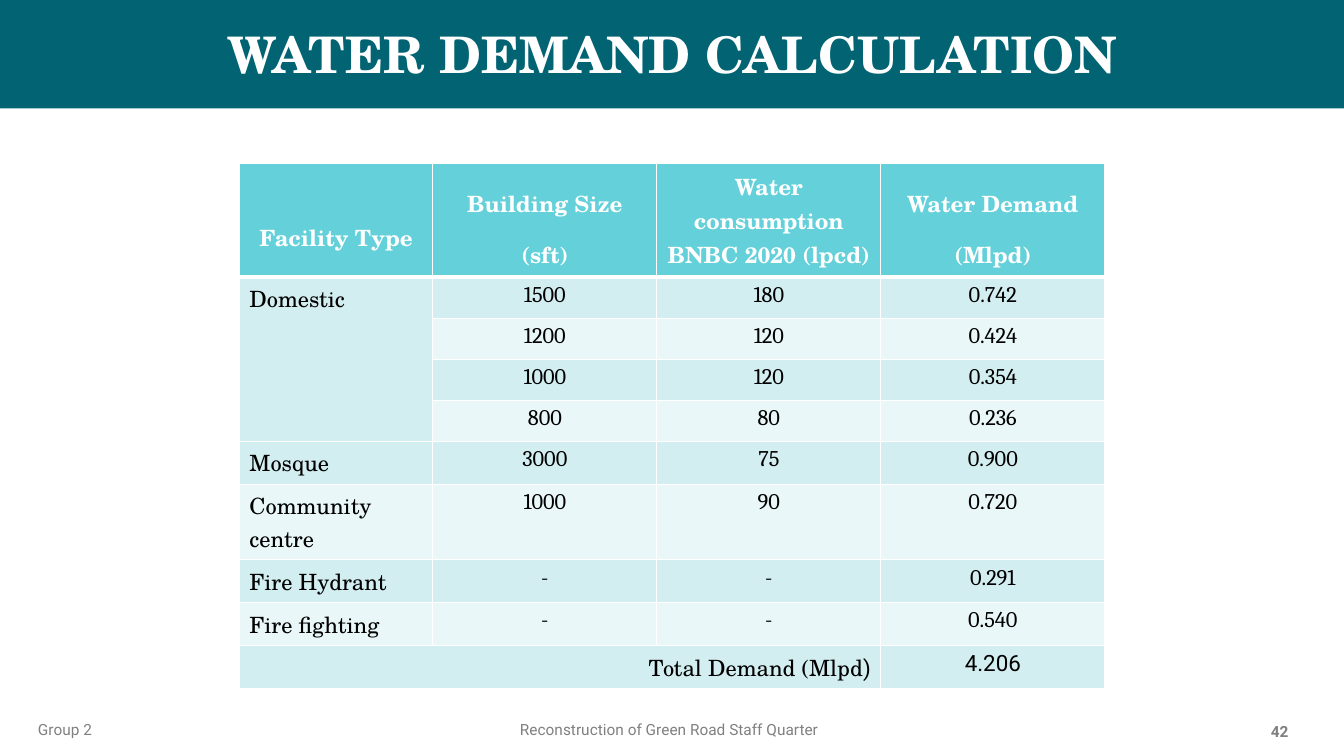
from pptx import Presentation
from pptx.dml.color import RGBColor as RGB
from pptx.enum.shapes import MSO_SHAPE as SHAPE
from pptx.enum.text import MSO_ANCHOR as ANCHOR, MSO_AUTO_SIZE as AUTO, PP_ALIGN as AL
from pptx.oxml.ns import qn
from pptx.util import Pt
from lxml.etree import SubElement

COLORS = {"band": "026473", "header": "64D0DA", "odd": "D3EEF1", "even": "EAF7F8",
          "white": "FFFFFF", "black": "000000", "gray": "808080"}
SERIF, DIGITS, SANS = "TeX Gyre Schola", "Cambria", "Roboto"

HEADERS = [("Facility Type", 2.5), ("Building Size (sft)", 1.5),
           ("Water consumption BNBC 2020 (lpcd)", 1), ("Water Demand (Mlpd)", 1.5)]
DEMANDS = [
    ("Domestic", "1500", "180", "0.742"),
    ("", "1200", "120", "0.424"),
    ("", "1000", "120", "0.354"),
    ("", "800", "80", "0.236"),
    ("Mosque", "3000", "75", "0.900"),
    ("Community centre", "1000", "90", "0.720"),
    ("Fire Hydrant", "-", "-", "0.291"),
    ("Fire fighting", "-", "-", "0.540"),
]
TOTAL_ROW = len(DEMANDS) + 1
COL_WIDTHS = [138.2, 160, 160, 160]
ROW_HEIGHT = 29.3


class Deck:
    """Holds the style and the current slide, and draws each kind of element."""

    def __init__(self, prs):
        self.s = prs.slides.add_slide(prs.slide_layouts[6])

    def text(self, tf, runs, size, color, bold=False, align=AL.LEFT, spacing=None):
        p = tf.paragraphs[0]
        p.alignment = align
        if spacing:
            p.line_spacing = spacing
        for text, font in runs:
            r = p.add_run()
            r.text = text
            for key, value in {"name": font, "size": Pt(size), "bold": bold}.items():
                setattr(r.font, key, value)
            r.font.color.rgb = RGB.from_string(COLORS[color])

    def banner(self, text, x, y, w, h):
        sp = self.s.shapes.add_shape(SHAPE.RECTANGLE, Pt(x), Pt(y), Pt(w), Pt(h))
        sp.shadow.inherit = False
        sp.fill.solid()
        sp.fill.fore_color.rgb = RGB.from_string(COLORS["band"])
        sp.line.fill.background()
        tf = sp.text_frame
        margins = {f"margin_{side}": 0 for side in ("left", "top", "right", "bottom")}
        for key, value in {**margins, "vertical_anchor": ANCHOR.MIDDLE, "word_wrap": True}.items():
            setattr(tf, key, value)
        self.text(tf, [(text, SERIF)], 36, "white", True, AL.CENTER)

    def footer(self, text, x, y, w, bold=False):
        tf = self.s.shapes.add_textbox(Pt(x), Pt(y), Pt(w), Pt(20.6)).text_frame
        tf.word_wrap = True
        tf.auto_size = AUTO.SHAPE_TO_FIT_TEXT
        self.text(tf, [(text, SANS)], 11, "gray", bold)

    def table(self, x, y, widths, height, rows):
        shape = self.s.shapes.add_table(rows, len(widths), Pt(x), Pt(y),
                                        Pt(sum(widths)), Pt(rows * height))
        tbl = shape.table
        for col, width in zip(tbl.columns, widths):
            col.width = Pt(width)
        for i, row in enumerate(tbl.rows):
            row.height = Pt(height)
            fill = "header" if i == 0 else "odd" if i % 2 else "even"
            for cell in row.cells:
                self.borders(cell, top=3 if i == 1 else 1, bottom=3 if i == 0 else 1)
                cell.fill.solid()
                cell.fill.fore_color.rgb = RGB.from_string(COLORS[fill])
        return tbl

    def borders(self, cell, top, bottom):
        tcPr = cell._tc.get_or_add_tcPr()
        for side, width in {"L": 1, "R": 1, "T": top, "B": bottom}.items():
            ln = SubElement(tcPr, qn(f"a:ln{side}"), w=str(Pt(width)))
            SubElement(SubElement(ln, qn("a:solidFill")), qn("a:srgbClr"), val=COLORS["white"])


def main():
    prs = Presentation()
    prs.slide_width, prs.slide_height = Pt(960), Pt(540)
    deck = Deck(prs)
    deck.banner("WATER DEMAND CALCULATION", 0, -1.5, 960, 79)

    tbl = deck.table(171, 117, COL_WIDTHS, ROW_HEIGHT, TOTAL_ROW + 1)
    tbl.cell(1, 0).merge(tbl.cell(4, 0))
    tbl.cell(TOTAL_ROW, 0).merge(tbl.cell(TOTAL_ROW, 2))
    for j, (text, spacing) in enumerate(HEADERS):
        deck.text(tbl.cell(0, j).text_frame, [(text, SERIF)], 16, "white", True, AL.CENTER, spacing)
    for i, values in enumerate(DEMANDS, 1):
        for j, text in enumerate(values):
            if text:
                font, align = (DIGITS, AL.CENTER) if j else (SERIF, AL.LEFT)
                deck.text(tbl.cell(i, j).text_frame, [(text, font)], 16, "black", align=align)
    deck.text(tbl.cell(TOTAL_ROW, 0).text_frame, [("Total Demand (Mlpd", SERIF), (")", SANS)],
              16, "black", align=AL.RIGHT)
    deck.text(tbl.cell(TOTAL_ROW, 3).text_frame, [("4.206", SANS)], 16, "black", align=AL.CENTER)

    deck.footer("Group 2", 20, 511, 79)
    deck.footer("Reconstruction of Green Road Staff Quarter", 364.3, 511, 231)
    deck.footer("42", 900.7, 512, 31, True)
    prs.save("out.pptx")


if __name__ == "__main__":
    main()
